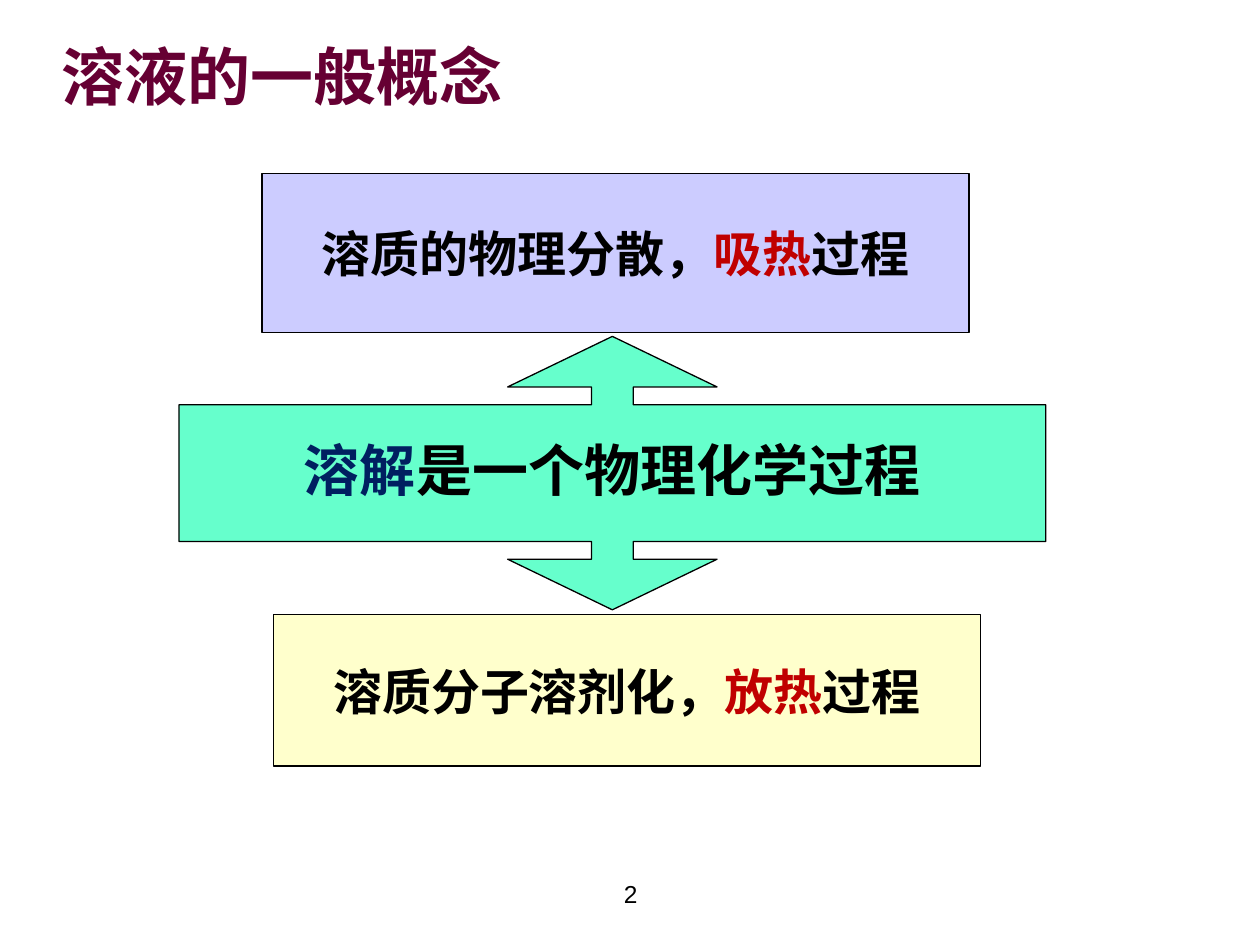
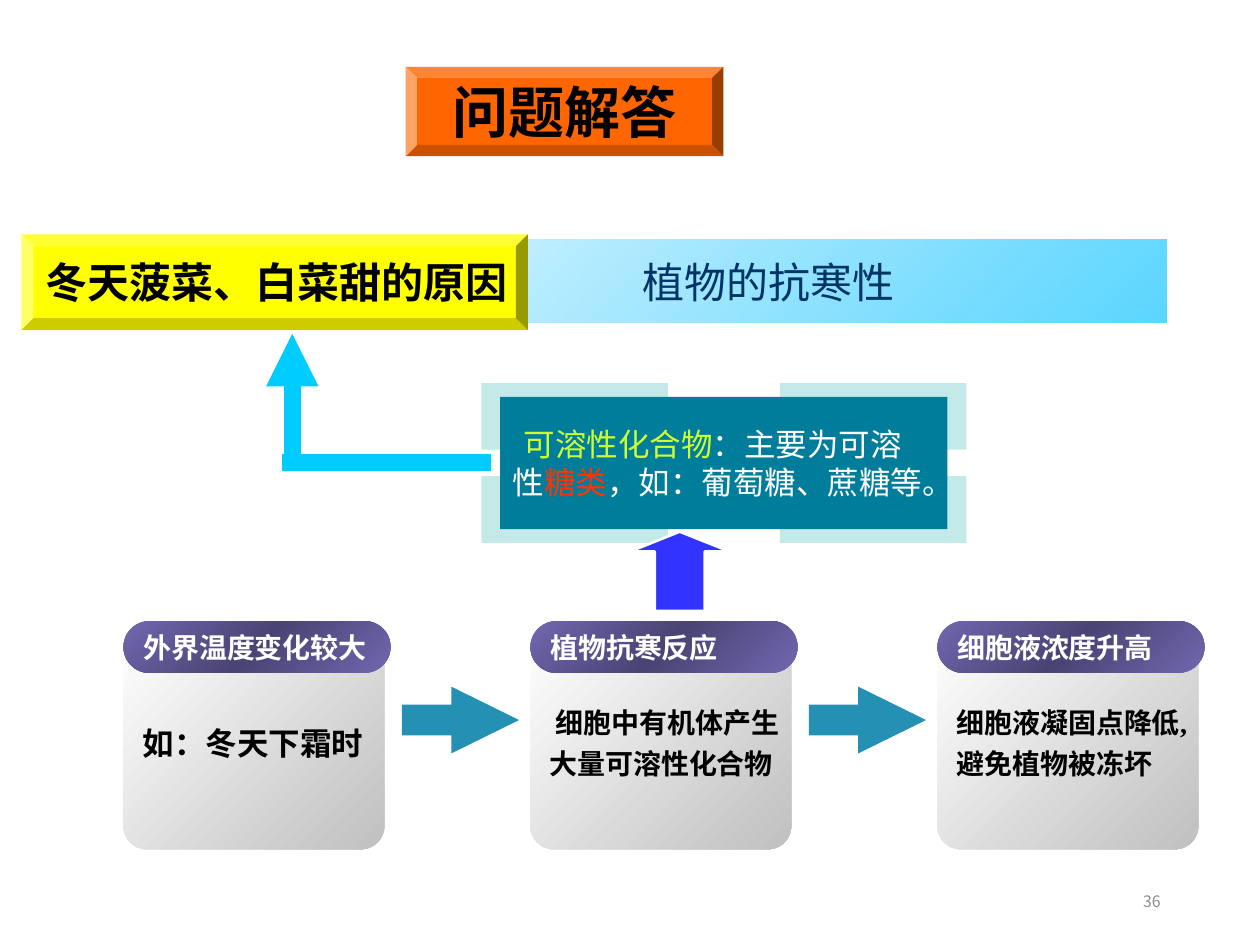
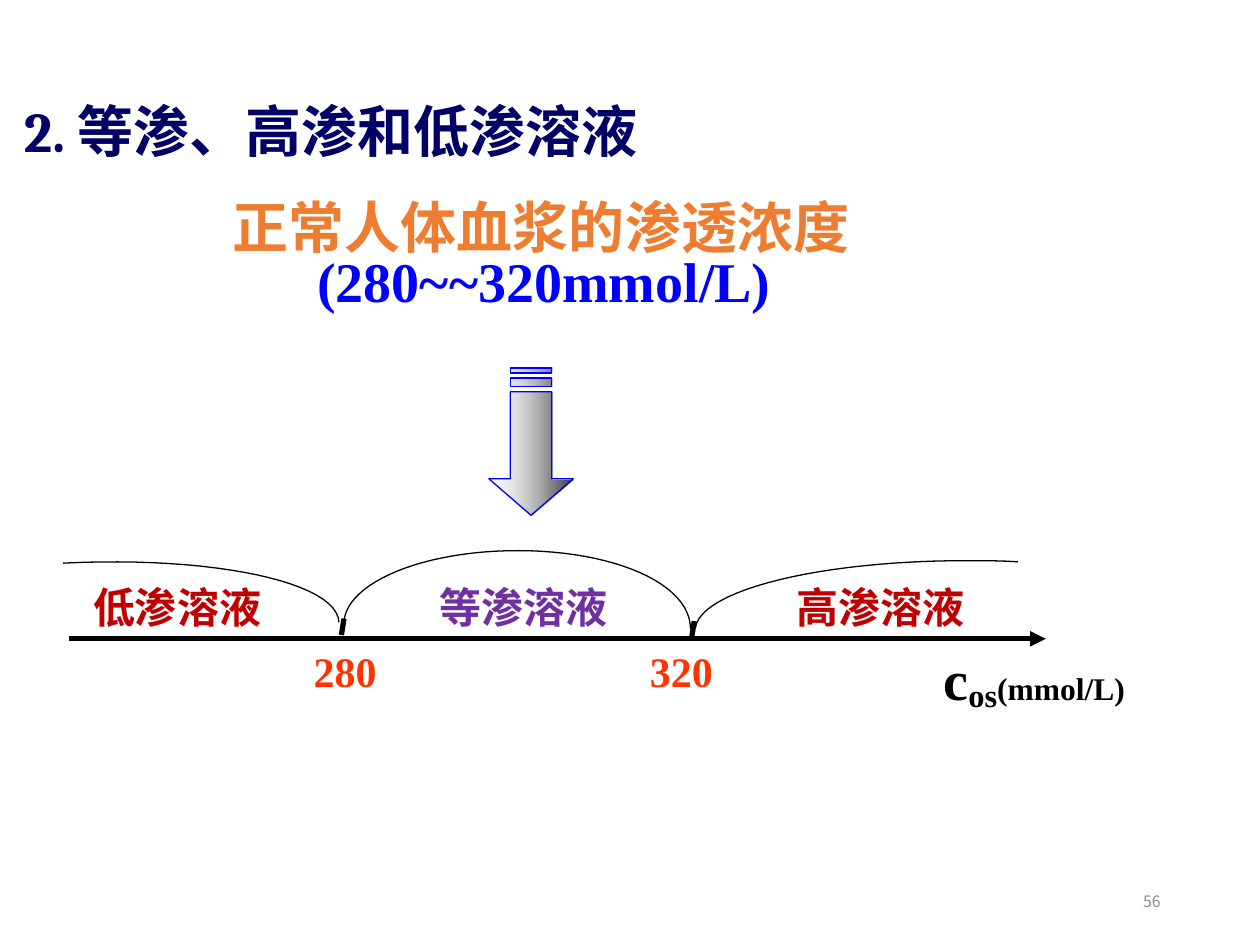
from dataclasses import dataclass
from itertools import product

from lxml import etree
from pptx import Presentation
from pptx.dml.color import RGBColor
from pptx.enum.shapes import MSO_CONNECTOR, MSO_SHAPE
from pptx.enum.text import MSO_ANCHOR, PP_ALIGN
from pptx.oxml import parse_xml
from pptx.oxml.ns import nsdecls, qn
from pptx.util import Inches, Pt

COLUMNS, ROWS = 100, 75
SLIDE_WIDTH, SLIDE_HEIGHT = Inches(10), Inches(7.5)
TITLE_ONLY, BLANK = 5, 6

RECT, ROUND, BEVEL = MSO_SHAPE.RECTANGLE, MSO_SHAPE.ROUNDED_RECTANGLE, MSO_SHAPE.BEVEL
CALLOUT, RIGHT_ARROW, UP_ARROW = (
    MSO_SHAPE.UP_DOWN_ARROW_CALLOUT, MSO_SHAPE.RIGHT_ARROW, MSO_SHAPE.UP_ARROW)
STRAIGHT = MSO_CONNECTOR.STRAIGHT
LEFT, CENTER, RIGHT = PP_ALIGN.LEFT, PP_ALIGN.CENTER, PP_ALIGN.RIGHT
MIDDLE, TOP = MSO_ANCHOR.MIDDLE, MSO_ANCHOR.TOP

HEITI, ARIAL, CAMBRIA = "Noto Sans CJK SC", "Arial", "Cambria"
TIMES, DEJAVU = "Times New Roman", "DejaVu Sans"

BLACK = RGBColor(0x00, 0x00, 0x00)
WHITE = RGBColor(0xFF, 0xFF, 0xFF)
GRAY = RGBColor(0x8C, 0x8C, 0x8C)
SILVER = RGBColor(0xC0, 0xC0, 0xC0)
WINE = RGBColor(0x66, 0x00, 0x33)
DARK_RED = RGBColor(0xC0, 0x00, 0x00)
NAVY = RGBColor(0x00, 0x20, 0x60)
INDIGO = RGBColor(0x00, 0x00, 0x66)
SLATE = RGBColor(0x00, 0x33, 0x66)
MINT = RGBColor(0x66, 0xFF, 0xCC)
LAVENDER = RGBColor(0xCC, 0xCC, 0xFF)
CREAM = RGBColor(0xFF, 0xFF, 0xCC)
ORANGE = RGBColor(0xFF, 0x66, 0x00)
YELLOW = RGBColor(0xFF, 0xFF, 0x00)
SKY = RGBColor(0x33, 0xCC, 0xFF)
CYAN = RGBColor(0x00, 0xCC, 0xFF)
STEEL = RGBColor(0x24, 0x90, 0xB4)
VIOLET = RGBColor(0x70, 0x67, 0xAF)
DEEP_VIOLET = RGBColor(0x4A, 0x44, 0x74)
PALE_TEAL = RGBColor(0xC3, 0xEA, 0xE9)
TEAL = RGBColor(0x00, 0x7D, 0x9A)
LIME = RGBColor(0xCC, 0xFF, 0x33)
SCARLET = RGBColor(0xFF, 0x33, 0x00)
ROYAL = RGBColor(0x33, 0x33, 0xFF)
BLUE = RGBColor(0x00, 0x00, 0xFF)
AMBER = RGBColor(0xED, 0x7D, 0x31)
PURPLE = RGBColor(0x70, 0x30, 0xA0)


@dataclass
class Box:
    """An area of the slide in grid columns and rows."""
    left: float
    top: float
    width: float
    height: float

    def area(self, left, top, width, height):
        """Return an area placed from this box's corner."""
        return Box(self.left + left, self.top + top, width, height)

    def point(self, column, row):
        """Return a slide position measured from this box's corner."""
        return (round((self.left + column) * SLIDE_WIDTH / COLUMNS),
                round((self.top + row) * SLIDE_HEIGHT / ROWS))

    def frame(self):
        """Return left, top, width and height as slide lengths."""
        left, top = self.point(0, 0)
        right, bottom = self.point(self.width, self.height)
        return left, top, right - left, bottom - top


@dataclass
class Line:
    """A paragraph: plain text, or spans of text, colour and extras."""
    content: object
    size: float
    color: RGBColor = BLACK
    font: str = HEITI
    bold: bool = True
    align: PP_ALIGN = LEFT
    spacing: float = 1.0
    indent: float = 0


PAGE = Box(0, 0, COLUMNS, ROWS)


def write(shape, *lines, wrap=False, anchor=MIDDLE):
    """Fill a shape with formatted paragraphs."""
    frame = shape.text_frame
    frame.word_wrap, frame.vertical_anchor = wrap, anchor
    for number, line in enumerate(lines):
        para = frame.add_paragraph() if number else frame.paragraphs[0]
        para.alignment, para.line_spacing = line.align, line.spacing
        para.space_before = Pt(0)
        properties = para._p.get_or_add_pPr()
        properties.set("indent", str(Inches(line.indent)))
        font = para.font
        font.size, font.bold, font.name = Pt(line.size), line.bold, line.font
        font.color.rgb = line.color
        etree.SubElement(properties.find(qn("a:defRPr")), qn("a:ea"), typeface=HEITI)
        spans = [(line.content,)] if isinstance(line.content, str) else line.content
        for text, *extras in spans:
            span = para.add_run()
            span.text = text
            for extra in extras:
                if isinstance(extra, RGBColor):
                    span.font.color.rgb = extra
                else:
                    format_span(span, **extra)


def format_span(span, size=None, baseline=None):
    """Give one span its own size or baseline shift."""
    if size:
        span.font.size = Pt(size)
    if baseline:
        span._r.get_or_add_rPr().set("baseline", str(baseline * 1000))


def paint(shape, fill, outline=None, weight=0.75):
    """Set fill and outline, and drop the shadow."""
    shape.shadow.inherit = False
    if isinstance(fill, RGBColor):
        shape.fill.solid()
        shape.fill.fore_color.rgb = fill
    else:
        shape.fill.background()
    if isinstance(fill, list):
        blend(shape, *fill)
    if outline is None:
        shape.line.fill.background()
    else:
        shape.line.color.rgb = outline
        shape.line.width = Pt(weight)


def blend(shape, angle, *stops):
    """Replace the fill by a linear gradient of position, colour, opacity."""
    marks = "".join(
        f'<a:gs pos="{position * 1000}"><a:srgbClr val="{color}">'
        f'<a:alpha val="{opacity * 1000}"/></a:srgbClr></a:gs>'
        for position, color, opacity in stops)
    gradient = parse_xml(
        f'<a:gradFill {nsdecls("a")} rotWithShape="1"><a:gsLst>{marks}</a:gsLst>'
        f'<a:lin ang="{angle * 60000}" scaled="1"/></a:gradFill>')
    properties = shape._element.spPr
    properties.replace(properties.find(qn("a:noFill")), gradient)


def add_block(page, kind, box, fill, outline=None, weight=0.75, adjust=()):
    """Add a preset shape."""
    shape = page.shapes.add_shape(kind, *box.frame())
    for number, value in enumerate(adjust):
        shape.adjustments[number] = value
    paint(shape, fill, outline, weight)
    return shape


def add_text(page, box, *lines, wrap=True, anchor=TOP):
    """Add a text box."""
    write(page.shapes.add_textbox(*box.frame()), *lines, wrap=wrap, anchor=anchor)


def add_line(page, box, start, end, color, weight, arrow=False):
    """Add a straight connector between two points of a box."""
    line = page.shapes.add_connector(STRAIGHT, *box.point(*start), *box.point(*end))
    line.line.color.rgb = color
    line.line.width = Pt(weight)
    properties = line._element.spPr
    if arrow:
        etree.SubElement(properties.find(qn("a:ln")), qn("a:tailEnd"), type="triangle")
    etree.SubElement(properties, qn("a:effectLst"))


def add_curve(page, box, start, *bends, steps=24):
    """Draw joined cubic curves, each given by two handles and an end."""
    points = [start]
    for first, second, end in bends:
        origin = points[-1]
        for step in range(1, steps + 1):
            t = step / steps
            points.append(tuple(
                (1 - t) ** 3 * a + 3 * t * (1 - t) ** 2 * b
                + 3 * t ** 2 * (1 - t) * c + t ** 3 * d
                for a, b, c, d in zip(origin, first, second, end)))
    builder = page.shapes.build_freeform(*box.point(*start))
    builder.add_line_segments([box.point(*point) for point in points[1:]], close=False)
    paint(builder.convert_to_shape(), None, BLACK)


def add_page(deck, layout):
    """Add a slide from the numbered layout."""
    return deck.slides.add_slide(deck.slide_layouts[layout])


def set_title(page, box, line):
    """Place and format the title placeholder."""
    title = page.shapes.title
    title.left, title.top, title.width, title.height = box.frame()
    write(title, line, wrap=True)


def add_number(page, number):
    """Write the small page number at the lower right."""
    add_text(page, PAGE.area(70.6, 69.5, 22.5, 4),
             Line(number, 9, GRAY, bold=False, align=RIGHT), anchor=MIDDLE)


def draw_process(page, box):
    """Draw the two-way callout between its two partial processes."""
    callout = add_block(page, CALLOUT, box.area(0, 12.9, 68.8, 21.7), MINT, BLACK,
                        adjust=(0.153, 0.383, 0.185, 0.5))
    write(callout, Line([("溶解", NAVY), ("是一个物理化学过程",)], 32,
                        font=ARIAL, align=CENTER, spacing=0.9))
    steps = [(6.6, 0, 12.6, LAVENDER, "溶质的物理分散，", "吸热"),
             (7.5, 35, 12, CREAM, "溶质分子溶剂化，", "放热")]
    for left, top, height, fill, text, heat in steps:
        step = add_block(page, RECT, box.area(left, top, 56.1, height), fill, BLACK)
        write(step, Line([(text,), (heat, DARK_RED), ("过程",)], 28,
                         font=CAMBRIA, align=CENTER))


def draw_question(page, box):
    """Draw the answer heading and the question with its topic bar."""
    heading = add_block(page, BEVEL, box.area(30.5, 0, 25.2, 7.1), ORANGE, adjust=(0.125,))
    frame = heading.text_frame
    frame.margin_left = frame.margin_right = frame.margin_top = frame.margin_bottom = 0
    write(heading, Line("问题解答", 32, align=CENTER), wrap=True)
    add_block(page, RECT, box.area(7.3, 13.7, 83.6, 6.6),
              [45, (0, WHITE, 90), (100, SKY, 80)])
    question = add_block(page, BEVEL, box.area(0, 13.3, 40.2, 7.6), YELLOW, adjust=(0.125,))
    write(question, Line("冬天菠菜、白菜甜的原因", 24))
    add_text(page, box.area(48.3, 13.3, 46.1, 7.5),
             Line("植物的抗寒性", 24, SLATE, bold=False), wrap=False, anchor=MIDDLE)


def draw_card(page, box, label, lines):
    """Draw a grey card with its violet label."""
    card = add_block(page, ROUND, box.area(0, 0.7, 20.7, 17.4),
                     [45, (0, WHITE, 100), (100, SILVER, 100)], adjust=(0.107,))
    write(card, *lines)
    tab = add_block(page, ROUND, box.area(0, 0, 21.2, 4.1),
                    [45, (0, VIOLET, 100), (50, DEEP_VIOLET, 100), (100, VIOLET, 100)],
                    adjust=(0.5,))
    write(tab, Line(label, 16, WHITE, ARIAL))


def draw_chain(page, box, pitch=32.3):
    """Draw the three cards with arrows between them."""
    def body(text, size=16, font=ARIAL, indent=0):
        """Return a line of card text."""
        return Line(text, size, font=font, spacing=1.2, indent=indent)

    cards = [("外界温度变化较大", [body("如：冬天下霜时", 18)]),
             ("植物抗寒反应", [body("细胞中有机体产生", indent=0.05), body("大量可溶性化合物")]),
             ("细胞液浓度升高", [body("细胞液凝固点降低,", font=TIMES),
                          body("避免植物被冻坏", font=TIMES)])]
    for number, (label, lines) in enumerate(cards):
        spot = box.area(number * pitch, 0, pitch, box.height)
        draw_card(page, spot, label, lines)
        if number < len(cards) - 1:
            add_block(page, RIGHT_ARROW, spot.area(22.1, 5.2, 9.3, 5.3), STEEL,
                      adjust=(0.46, 1.015))


def draw_compounds(page, box):
    """Draw the compound panel over its four corner plates."""
    for left, top in product((0, 23.7), (0, 7.4)):
        add_block(page, RECT, box.area(left, top, 14.8, 5.3), PALE_TEAL)
    panel = add_block(page, RECT, box.area(1.5, 1.1, 35.5, 10.5), TEAL)
    write(panel,
          Line([("可溶性化合物", LIME), ("：主要为可溶",)], 18, WHITE, bold=False, indent=0.09),
          Line([("性",), ("糖类", SCARLET), ("，如：葡萄糖、蔗糖等。",)], 18, WHITE, bold=False))
    add_block(page, UP_ARROW, box.area(11.8, 11.8, 7.9, 6.3), ROYAL, WHITE, 1.5,
              adjust=(0.5, 0.25))
    add_line(page, box, (-15.8, 6.3), (0.8, 6.3), CYAN, 10)
    add_line(page, box, (-15, 6.3), (-15, -3.9), CYAN, 10, arrow=True)


def draw_striped_arrow(page, box):
    """Draw a down arrow with two stripes above its shaft."""
    inner, outer, width = 1.7, 5, box.width
    stripes = [[(outer, top), (inner, top), (inner, bottom), (outer, bottom)]
               for top, bottom in ((0, 0.4), (0.8, 1.5))]
    arrow = [(outer, 1.9), (inner, 1.9), (inner, 8.8), (0, 8.8),
             (width / 2, box.height), (width, 8.8), (outer, 8.8)]
    builder = page.shapes.build_freeform(*box.point(*arrow[0]))
    builder.add_line_segments([box.point(*point) for point in arrow[1:]])
    for stripe in stripes:
        builder.move_to(*box.point(*stripe[0]))
        builder.add_line_segments([box.point(*point) for point in stripe[1:]])
    paint(builder.convert_to_shape(), [0, (0, WHITE, 20), (100, BLACK, 80)], BLUE)


def draw_axis(page, box):
    """Draw the concentration axis with its ranges, limits and unit."""
    add_line(page, box, (0.5, 7), (78, 7), BLACK, 3, arrow=True)
    for column, row in ((22.3, 5.4), (50.1, 5.6)):
        add_line(page, box, (column, row), (column - 0.2, row + 1.3), BLACK, 3)
    add_curve(page, box, (0, 1), ((11.9, 0.4), (21.8, 2.5), (21.9, 5.7)))
    add_curve(page, box, (22.3, 5.6), ((22.6, 2.5), (28.6, 0), (36.1, 0)),
              ((43.7, 0), (49.8, 2.6), (49.8, 6.2)))
    add_curve(page, box, (50.2, 6.1), ((50.7, 3.1), (60.2, 0.8), (71.7, 0.8)),
              ((73.1, 0.8), (74.5, 0.8), (75.8, 0.9)))
    ranges = [(1.4, "低渗溶液", DARK_RED), (28.9, "等渗溶液", PURPLE),
              (57.2, "高渗溶液", DARK_RED)]
    for left, text, color in ranges:
        add_text(page, box.area(left, 2, 16.7, 5), Line(text, 24, color))
    for left, text in ((18.9, "280"), (45.6, "320")):
        add_text(page, box.area(left, 7, 7.1, 5.1),
                 Line(text, 24, SCARLET, TIMES), wrap=False)
    add_text(page, box.area(68.9, 7, 20.8, 6.3),
             Line([("c",), ("os", {"baseline": -12}), ("(mmol/L)", {"size": 18})],
                  32, font=TIMES))


def build_concept(deck):
    """Build the slide on the general idea of solutions."""
    page = add_page(deck, TITLE_ONLY)
    set_title(page, PAGE.area(3.9, 2.4, 44.7, 7.9),
              Line("溶液的一般概念", 36, WINE, spacing=0.9))
    add_text(page, PAGE.area(34.2, 68.3, 31.7, 5.2),
             Line("2", 14, font=ARIAL, bold=False, align=CENTER), anchor=MIDDLE)
    draw_process(page, PAGE.area(14.2, 13.8, 68.8, 47))


def build_answer(deck):
    """Build the slide that explains sweet winter vegetables."""
    page = add_page(deck, BLANK)
    draw_question(page, PAGE.area(1.7, 5.3, 94.4, 20.9))
    draw_chain(page, PAGE.area(9.8, 49.3, 85.8, 18.1))
    draw_compounds(page, PAGE.area(38.2, 30.4, 38.5, 12.7))
    add_number(page, "36")


def build_osmosis(deck):
    """Build the slide on isotonic, hypertonic and hypotonic solutions."""
    page = add_page(deck, TITLE_ONLY)
    set_title(page, PAGE.area(0.9, 7.1, 60, 6.2),
              Line("2. 等渗、高渗和低渗溶液", 32, INDIGO, CAMBRIA, spacing=1.05))
    add_text(page, PAGE.area(17.5, 15.8, 52.5, 9.5),
             Line("正常人体血浆的渗透浓度", 32, AMBER, DEJAVU, spacing=0.8),
             Line("(280~~320mmol/L)", 32, BLUE, TIMES, spacing=0.8, indent=0.67))
    draw_striped_arrow(page, PAGE.area(38.8, 29.2, 6.7, 11.7))
    draw_axis(page, PAGE.area(5, 43.7, 90, 13.3))
    add_number(page, "56")


def main():
    """Build and save the deck."""
    deck = Presentation()
    deck.slide_width, deck.slide_height = SLIDE_WIDTH, SLIDE_HEIGHT
    build_concept(deck)
    build_answer(deck)
    build_osmosis(deck)
    deck.save("out.pptx")


if __name__ == "__main__":
    main()
